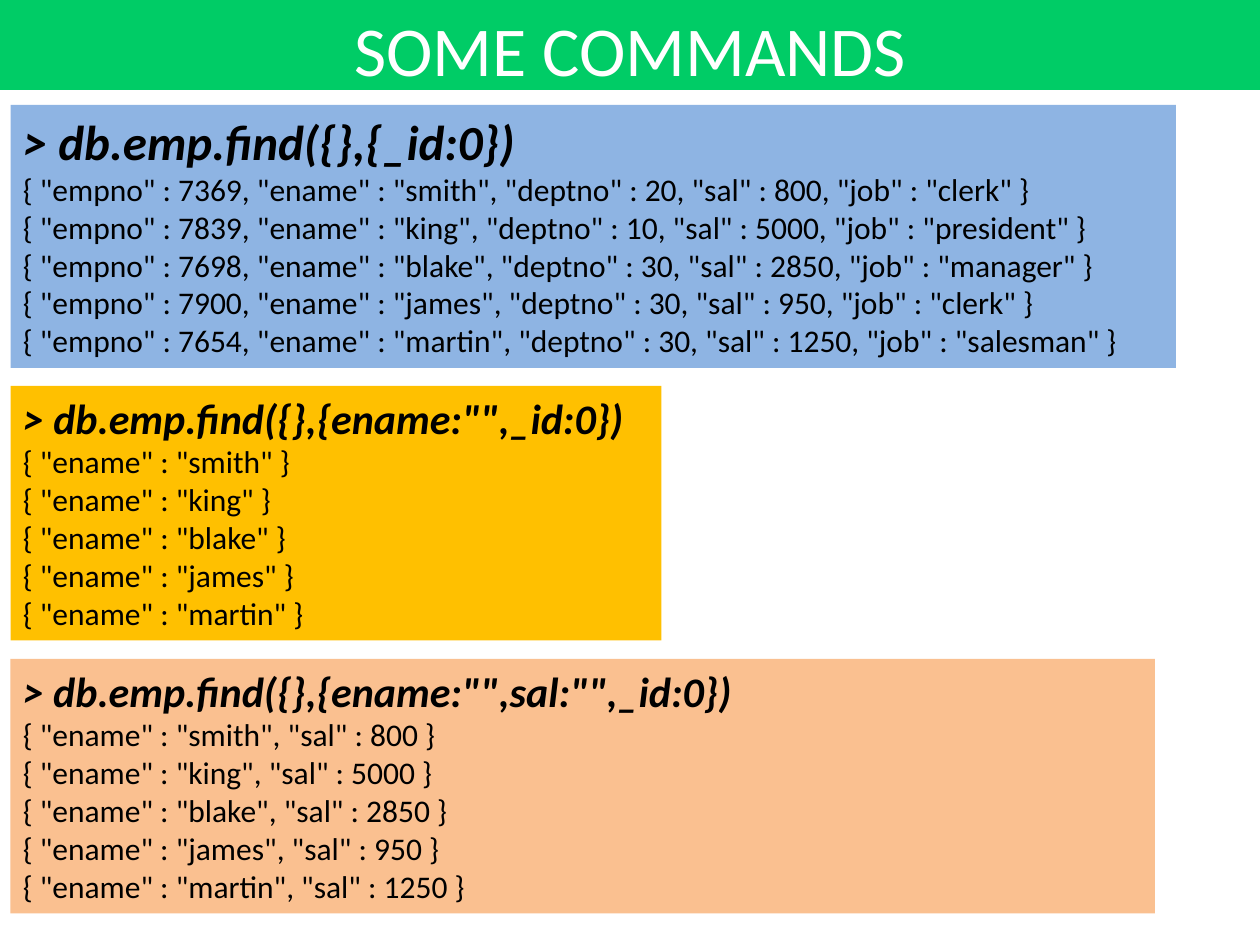
import pptx
import pptx.util
import pptx.dml.color
import pptx.enum.shapes
import pptx.enum.text

Pt = pptx.util.Pt
COLORS = {
    "green": "00CC66",
    "blue": "8EB4E3",
    "gold": "FFC000",
    "peach": "FAC090",
    "white": "FFFFFF",
    "black": "000000",
}
LEFT = 6
EMPLOYEES = [
    (7369, "smith", 20, 800, "clerk"),
    (7839, "king", 10, 5000, "president"),
    (7698, "blake", 30, 2850, "manager"),
    (7900, "james", 30, 950, "clerk"),
    (7654, "martin", 30, 1250, "salesman"),
]
FIELDS = ("empno", "ename", "deptno", "sal", "job")


def rgb(name):
    return pptx.dml.color.RGBColor.from_string(COLORS[name])


def add_text(p, text, size=18, color="black", bold=False, italic=False, align="LEFT"):
    p.alignment = getattr(pptx.enum.text.PP_ALIGN, align)
    r = p.add_run()
    r.text = text
    r.font.name = "Calibri"
    r.font.size = Pt(size)
    r.font.bold = bold
    r.font.italic = italic
    r.font.color.rgb = rgb(color)


def add_box(s, x, y, w, h, fill, line=None):
    sp = s.shapes.add_shape(pptx.enum.shapes.MSO_SHAPE.RECTANGLE,
                            Pt(x), Pt(y), Pt(w), Pt(h))
    sp.shadow.inherit = False
    sp.fill.solid()
    sp.fill.fore_color.rgb = rgb(fill)
    if line:
        sp.line.color.rgb = rgb(line)
        sp.line.width = Pt(0.75)
    else:
        sp.line.fill.background()
    tf = sp.text_frame
    tf.word_wrap = True
    tf.vertical_anchor = pptx.enum.text.MSO_ANCHOR.TOP
    return tf


def format_record(employee, shown):
    """Write the shown fields of one employee as a shell result line."""
    pairs = []
    for field, value in zip(FIELDS, employee):
        if field in shown:
            value = f'"{value}"' if isinstance(value, str) else value
            pairs.append(f'"{field}" : {value}')
    return "{ " + ", ".join(pairs) + " }"


def add_query(s, y, w, h, fill, command, size, shown):
    tf = add_box(s, LEFT, y, w, h, fill)
    tf.auto_size = pptx.enum.text.MSO_AUTO_SIZE.SHAPE_TO_FIT_TEXT
    add_text(tf.paragraphs[0], command, size=size, bold=True, italic=True)
    for employee in EMPLOYEES:
        add_text(tf.add_paragraph(), format_record(employee, shown))


def main():
    prs = pptx.Presentation()
    prs.slide_width, prs.slide_height = Pt(720), Pt(540)
    s = prs.slides.add_slide(prs.slide_layouts[6])

    # Title bar
    tf = add_box(s, 0, 0, 720, 51, "green", line="green")
    add_text(tf.paragraphs[0], "SOME COMMANDS", size=40, color="white", align="CENTER")

    # Queries with their results
    add_query(s, 60, 666, 150.3, "blue", "> db.emp.find({},{_id:0})", 28, FIELDS)
    add_query(s, 220.5, 372, 145.4, "gold",
              '> db.emp.find({},{ename:"",_id:0})', 24, ("ename",))
    add_query(s, 376.5, 654, 145.4, "peach",
              '> db.emp.find({},{ename:"",sal:"",_id:0})', 24, ("ename", "sal"))

    prs.save("out.pptx")


if __name__ == "__main__":
    main()
